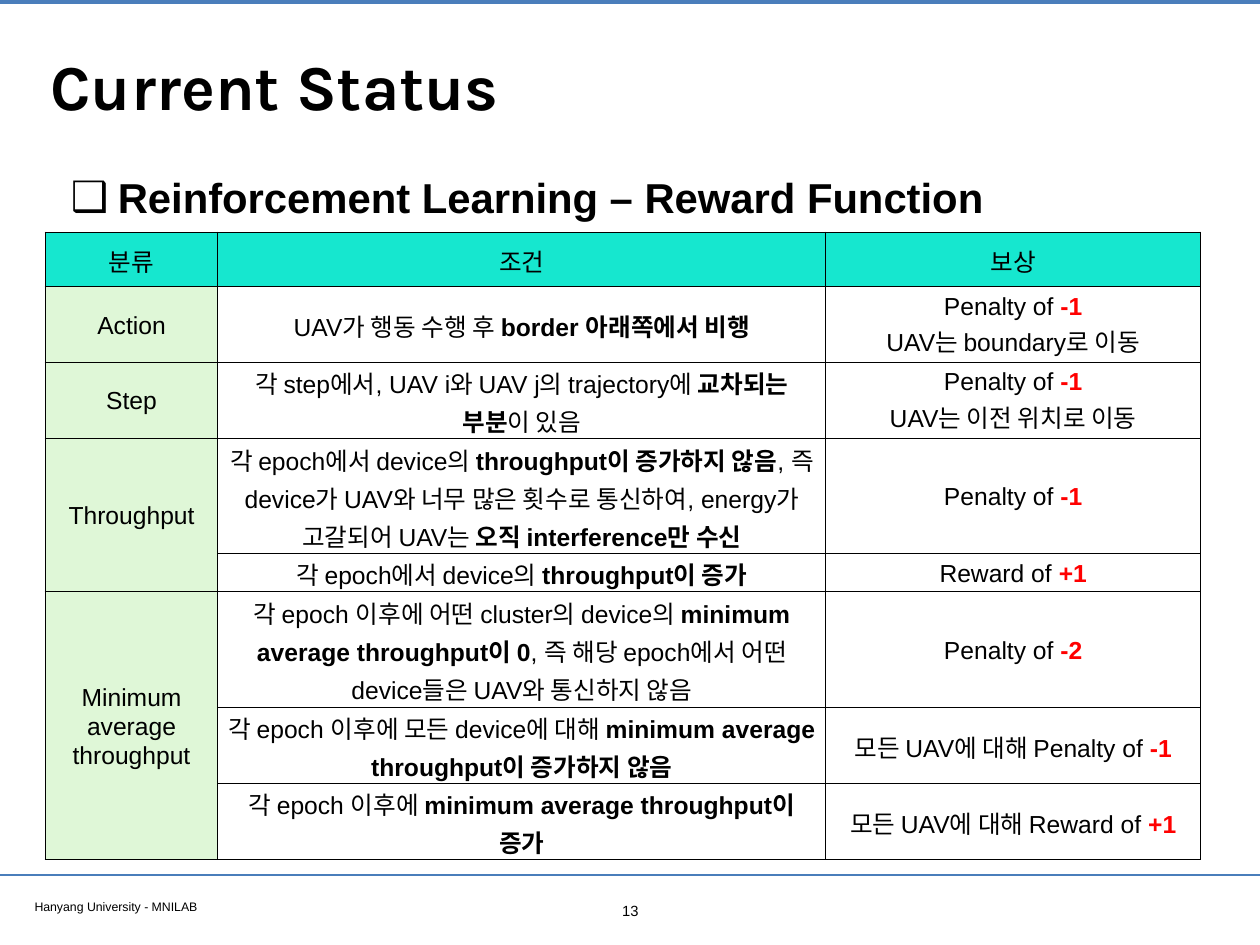
"""Build the reward function slide."""
from dataclasses import dataclass
from typing import Any

from lxml import etree
from pptx import Presentation
from pptx import util as u
from pptx.dml import color
from pptx.enum import shapes, text
from pptx.oxml import ns

COLOURS = {"black": "000000", "red": "FF0000", "rule": "4A7EBB", "header": "16E7CF", "category": "DFF7D7"}
COLUMNS = (1.95, 6.86, 4.23)
HEADINGS = ("분류", "조건", "보상")
LEFT = text.PP_ALIGN.LEFT
CENTER = text.PP_ALIGN.CENTER
MIDDLE = text.MSO_ANCHOR.MIDDLE


@dataclass(frozen=True)
class Rule:
    """A horizontal rule across the page."""
    top: float
    weight: float


@dataclass(frozen=True)
class Label:
    """A block of text with its place and format."""
    content: str
    place: tuple[float, float, float, float]
    size: float
    align: Any = LEFT
    face: str = "Arial"
    bold: bool = False
    anchor: Any = text.MSO_ANCHOR.TOP
    spacing: float = 1.0


@dataclass(frozen=True)
class Case:
    """A reward case; bars enclose emphasis, and an empty category continues the one above."""
    category: str
    condition: str
    reward: str
    height: float


RULES = (Rule(0.02, 3.2), Rule(9.88, 2))
TITLE = Label("Current Status", (0.51, 0.28, 13.21, 1.35), 52, face="Karla", bold=True, anchor=MIDDLE)
TOPIC = Label("Reinforcement Learning – Reward Function", (0.74, 1.77, 12.32, 1.09), 34, bold=True, spacing=1.2)
FOOTERS = (
    Label("Hanyang University - MNILAB", (0.33, 10.09, 5.46, 0.26), 10),
    Label("13", (6.92, 10.12, 0.39, 0.31), 12, CENTER),
)
CASES = (
    Case("Action", "UAV가 행동 수행 후 |border 아래쪽에서 비행|", "Penalty of |-1|\nUAV는 boundary로 이동", 0.85),
    Case("Step", "각 step에서, UAV i와 UAV j의 trajectory에 |교차되는 부분|이 있음",
         "Penalty of |-1|\nUAV는 이전 위치로 이동", 0.85),
    Case("Throughput", "각 epoch에서 device의 |throughput이 증가하지 않음|, 즉 device가 UAV와 너무 많은 횟수로 "
         "통신하여, energy가 고갈되어 UAV는 |오직 interference만 수신|", "Penalty of |-1|", 1.3),
    Case("", "각 epoch에서 device의 |throughput이 증가|", "Reward of |+1|", 0.41),
    Case("Minimum average throughput", "각 epoch 이후에 어떤 cluster의 device의 |minimum average "
         "throughput이 0|, 즉 해당 epoch에서 어떤 device들은 UAV와 통신하지 않음", "Penalty of |-2|", 1.3),
    Case("", "각 epoch 이후에 모든 device에 대해 |minimum average throughput이 증가하지 않음|",
         "모든 UAV에 대해 Penalty of |-1|", 0.85),
    Case("", "각 epoch 이후에 |minimum average throughput이 증가|", "모든 UAV에 대해 Reward of |+1|", 0.85),
)


def assign(target: Any, values: dict[str, Any]) -> None:
    """Set each named attribute on the target."""
    for name, value in values.items():
        setattr(target, name, value)


def write_span(para: Any, content: str, size: float, face: str, bold: bool, colour: str) -> None:
    """Add one formatted span to a paragraph."""
    span = para.add_run()
    span.text = content
    assign(span.font, {"size": u.Pt(size), "name": face, "bold": bold})
    span.font.color.rgb = color.RGBColor.from_string(COLOURS[colour])


def write_label(box: Any, label: Label) -> Any:
    """Place a box, write its label and return the paragraph."""
    places = (u.Inches(length) for length in label.place)
    assign(box, dict(zip(("left", "top", "width", "height"), places)))
    frame = box.text_frame
    margins = {f"margin_{side}": u.Inches(0.06) for side in ("left", "top", "right", "bottom")}
    assign(frame, margins | {"word_wrap": True, "auto_size": text.MSO_AUTO_SIZE.NONE,
                             "vertical_anchor": label.anchor})
    para = frame.paragraphs[0]
    assign(para, {"alignment": label.align, "line_spacing": label.spacing, "space_before": u.Pt(0)})
    write_span(para, label.content, label.size, label.face, label.bold, "black")
    return para


def add_bullet(para: Any, mark: str, indent: float) -> None:
    """Give a paragraph a hanging bullet."""
    properties = para._p.get_or_add_pPr()
    properties.set("marL", str(u.Inches(indent)))
    properties.set("indent", str(-u.Inches(indent)))
    etree.SubElement(properties, ns.qn("a:buChar")).set("char", mark)


def add_rule(page: Any, rule: Rule, width: int) -> None:
    """Draw a rule across the page."""
    top = u.Inches(rule.top)
    line = page.shapes.add_connector(shapes.MSO_CONNECTOR.STRAIGHT, 0, top, width, top)
    line.line.width = u.Pt(rule.weight)
    line.line.color.rgb = color.RGBColor.from_string(COLOURS["rule"])
    etree.SubElement(line._element.spPr, ns.qn("a:effectLst"))


def add_borders(cell: Any) -> None:
    """Draw a thin black border on every side of a cell."""
    properties = cell._tc.get_or_add_tcPr()
    for side in ("lnL", "lnR", "lnT", "lnB"):
        border = etree.SubElement(properties, ns.qn(f"a:{side}"), w=str(u.Pt(1)))
        fill = etree.SubElement(border, ns.qn("a:solidFill"))
        etree.SubElement(fill, ns.qn("a:srgbClr"), val=COLOURS["black"])


def write_cell(cell: Any, content: str, fill: str, accent: str) -> None:
    """Format a cell and write its text with emphasised parts."""
    add_borders(cell)
    if fill:
        cell.fill.solid()
        cell.fill.fore_color.rgb = color.RGBColor.from_string(COLOURS[fill])
    else:
        cell.fill.background()
    assign(cell, {"margin_left": u.Inches(0.07), "margin_right": u.Inches(0.07),
                  "margin_top": 0, "margin_bottom": 0, "vertical_anchor": MIDDLE})
    for index, line in enumerate(content.split("\n")):
        para = cell.text_frame.add_paragraph() if index else cell.text_frame.paragraphs[0]
        assign(para, {"alignment": CENTER, "line_spacing": 1.07})
        for order, part in enumerate(line.split("|")):
            strong = order % 2 == 1
            if part:
                write_span(para, part, 20, "Arial", strong, accent if strong else "black")


def add_reward_table(page: Any) -> None:
    """Build the table of reward cases."""
    heights = (0.62, *(case.height for case in CASES))
    table = page.shapes.add_table(len(heights), len(COLUMNS), u.Inches(0.51), u.Inches(2.62),
                                  u.Inches(sum(COLUMNS)), u.Inches(sum(heights))).table
    assign(table, {"first_row": False, "horz_banding": False})
    for column, width in zip(table.columns, COLUMNS):
        column.width = u.Inches(width)
    for row, height in zip(table.rows, heights):
        row.height = u.Inches(height)
    for index, heading in enumerate(HEADINGS):
        write_cell(table.cell(0, index), heading, "header", "black")
    for index, case in enumerate(CASES, 1):
        write_cell(table.cell(index, 0), case.category, "category", "black")
        write_cell(table.cell(index, 1), case.condition, "", "black")
        write_cell(table.cell(index, 2), case.reward, "", "red")
    starts = [index for index, case in enumerate(CASES, 1) if case.category]
    for start, following in zip(starts, (*starts[1:], len(heights))):
        if following - start > 1:
            table.cell(start, 0).merge(table.cell(following - 1, 0))


def main() -> None:
    """Assemble and save the deck."""
    deck = Presentation()
    assign(deck, {"slide_width": u.Inches(14.22), "slide_height": u.Inches(10.67)})
    page = deck.slides.add_slide(deck.slide_layouts[1])
    for rule in RULES:
        add_rule(page, rule, deck.slide_width)
    write_label(page.shapes.title, TITLE)
    add_bullet(write_label(page.placeholders[1], TOPIC), "❑", 0.53)
    for footer in FOOTERS:
        write_label(page.shapes.add_textbox(0, 0, 0, 0), footer)
    add_reward_table(page)
    deck.save("out.pptx")


if __name__ == "__main__":
    main()
